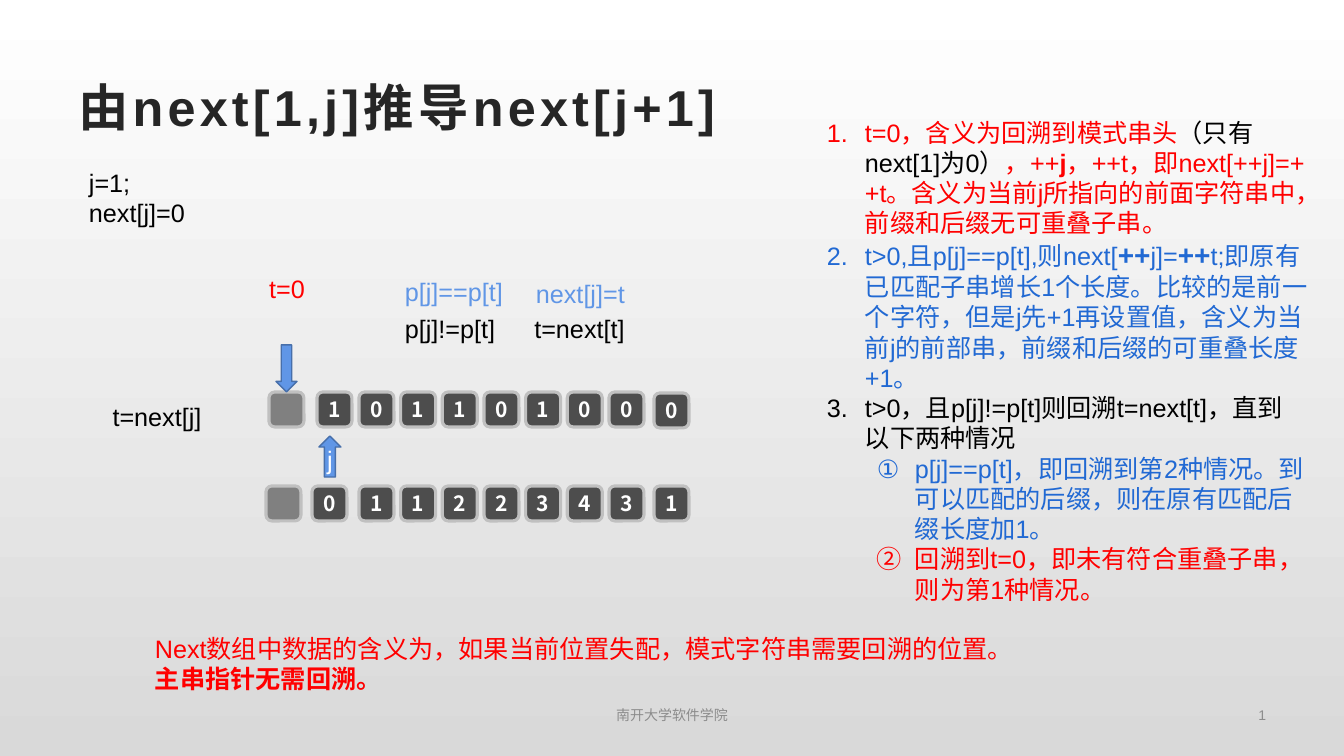
import pptx
import pptx.dml.color
import pptx.enum.dml
import pptx.enum.shapes
import pptx.enum.text
import pptx.oxml.ns
import pptx.util
import lxml.etree
from dataclasses import dataclass

PX = 914400 / 100.8
ALIGN = pptx.enum.text.PP_ALIGN
ANCHOR = pptx.enum.text.MSO_ANCHOR
AUTO_SIZE = pptx.enum.text.MSO_AUTO_SIZE
SHAPE = pptx.enum.shapes.MSO_SHAPE


@dataclass(frozen=True)
class Theme:
    latin: str = "Arial"
    chinese: str = "Noto Sans CJK SC"
    title: str = "262626"
    black: str = "000000"
    white: str = "FFFFFF"
    background_end: str = "D9D9D9"
    red: str = "FF0000"
    blue: str = "2169D3"
    light_blue: str = "6096E6"
    arrow_line: str = "476FAA"
    cell: str = "4D4D4D"
    blank_cell: str = "808080"
    cell_line: str = "C0C0C0"
    footer: str = "8C8C8C"
    title_size: int = 36
    body_size: int = 18
    plus_size: int = 20
    cell_size: int = 15
    footer_size: int = 10


THEME = Theme()


def px(length):
    return pptx.util.Emu(round(length * PX))


def rgb(value):
    return pptx.dml.color.RGBColor.from_string(value)


def set_all(target, values):
    for name, value in values.items():
        setattr(target, name, value)


def add_element(parent, tag, **attributes):
    element = lxml.etree.SubElement(parent, pptx.oxml.ns.qn(tag))
    for name, value in attributes.items():
        element.set(name, value)
    return element


def format_font(font, properties, color, size=THEME.body_size, bold=False, name=THEME.latin):
    set_all(font, {"size": pptx.util.Pt(size), "bold": bold, "name": name})
    font.color.rgb = rgb(color)
    add_element(properties, "a:ea", typeface=THEME.chinese)


def add_run(paragraph, text, color, **style):
    run = paragraph.add_run()
    run.text = text
    format_font(run.font, run._r.get_or_add_rPr(), color, **style)
    return run


def add_text(slide, box, lines, color, align=ALIGN.LEFT, wrap=True, anchor=ANCHOR.TOP,
             auto_size=AUTO_SIZE.SHAPE_TO_FIT_TEXT, **style):
    shape = slide.shapes.add_textbox(*map(px, box))
    frame = shape.text_frame
    set_all(frame, {"word_wrap": wrap, "vertical_anchor": anchor, "auto_size": auto_size})
    for index, line in enumerate(lines):
        paragraph = frame.add_paragraph() if index else frame.paragraphs[0]
        paragraph.alignment = align
        add_run(paragraph, line, color, **style)
    return shape


def add_filled(slide, kind, box, fill, line, width):
    shape = slide.shapes.add_shape(kind, *map(px, box))
    shape.shadow.inherit = False
    shape.fill.solid()
    shape.fill.fore_color.rgb = rgb(fill)
    shape.line.color.rgb = rgb(line)
    shape.line.width = pptx.util.Pt(width)
    return shape


def paint_background(slide):
    fill = slide.background.fill
    fill.gradient()
    fill.gradient_angle = 270
    for stop, color, position in zip(fill.gradient_stops, (THEME.white, THEME.background_end), (0, 1)):
        stop.color.rgb = rgb(color)
        stop.position = position


def place_title(slide, box, text):
    title = slide.shapes.title
    set_all(title, dict(zip(("left", "top", "width", "height"), map(px, box))))
    set_all(title.text_frame, {"vertical_anchor": ANCHOR.MIDDLE, "auto_size": AUTO_SIZE.NONE,
                               "word_wrap": True})
    paragraph = title.text_frame.paragraphs[0]
    paragraph.alignment = ALIGN.LEFT
    run = add_run(paragraph, text, THEME.title, size=THEME.title_size, bold=True)
    run._r.get_or_add_rPr().set("spc", "300")


def add_cell(slide, left, top, digit):
    fill = THEME.cell if digit else THEME.blank_cell
    cell = add_filled(slide, SHAPE.ROUNDED_RECTANGLE, (left, top, 35, 35), fill, THEME.cell_line, 2.25)
    if digit:
        frame = cell.text_frame
        set_all(frame, {"margin_left": 0, "margin_right": 0, "margin_top": 0, "margin_bottom": 0,
                        "word_wrap": False, "vertical_anchor": ANCHOR.MIDDLE})
        frame.paragraphs[0].alignment = ALIGN.CENTER
        add_run(frame.paragraphs[0], digit, THEME.white, size=THEME.cell_size, bold=True,
                name=THEME.chinese)


def draw_arrays(slide, left, top):
    middle = [left + 93 + 250 * index / 6 for index in range(7)]
    rows = (
        (0, 3, 51, 1, "110110000"[:0] + "101101000"[:0] + "101101000"),
        (94, 0, 46, 0, "011223431"),
    )
    for down, blank, first, last_down, digits in rows:
        add_cell(slide, left + blank, top + down, "")
        for index, (x, digit) in enumerate(zip([left + first, *middle, left + 388], digits)):
            add_cell(slide, x, top + down + (last_down if index == 8 else 0), digit)
    add_filled(slide, SHAPE.DOWN_ARROW, (left + 10, top - 47, 21, 47),
               THEME.light_blue, THEME.arrow_line, 1)
    pointer = add_filled(slide, SHAPE.UP_ARROW, (left + 53, top + 44, 22, 41),
                         THEME.light_blue, THEME.arrow_line, 1)
    pointer.text_frame.vertical_anchor = ANCHOR.MIDDLE
    pointer.text_frame.paragraphs[0].alignment = ALIGN.CENTER
    add_run(pointer.text_frame.paragraphs[0], "j", THEME.white)


def label_arrays(slide, left, top):
    labels = (
        (0, 128, 144, "t=next[j]", THEME.black, True),
        (162, 0, 80, "t=0", THEME.red, True),
        (310, 3, 118, "p[j]==p[t]", THEME.light_blue, False),
        (310, 40, 111, "p[j]!=p[t]", THEME.black, False),
        (432, 40, 125, "t=next[t]", THEME.black, True),
        (441, 5, 109, "next[j]=t", THEME.light_blue, False),
    )
    for x, y, width, text, color, centred in labels:
        add_text(slide, (left + x, top + y, width, 40), [text], color,
                 align=ALIGN.CENTER if centred else ALIGN.LEFT, wrap=centred)


def write_cases(slide, box):
    red, blue, black = THEME.red, THEME.blue, THEME.black
    plus = {"size": THEME.plus_size, "bold": True}
    cases = (
        (0, (("t=0，含义为回溯到模式串头", red, {}), ("（只有next[1]为0）", black, {}),
             ("，++", red, {}), ("j", red, {"bold": True}),
             ("，++t，即next[++j]=++t。含义为当前j所指向的前面字符串中，前缀和后缀无可重叠子串。", red, {}))),
        (0, (("t>0,且p[j]==p[t],则next[", blue, {}), ("++", blue, plus), ("j]=", blue, {}),
             ("++", blue, plus),
             ("t;即原有已匹配子串增长1个长度。比较的是前一个字符，但是j先+1再设置值，"
              "含义为当前j的前部串，前缀和后缀的可重叠长度+1。", blue, {}))),
        (0, (("t>0，且p[j]!=p[t]则回溯t=next[t]，直到以下两种情况", black, {}),)),
        (1, (("p[j]==p[t]，即回溯到第2种情况。到可以匹配的后缀，则在原有匹配后缀长度加1。", blue, {}),)),
        (1, (("回溯到t=0，即未有符合重叠子串，则为第1种情况。", red, {}),)),
    )
    frame = add_text(slide, box, [], black).text_frame
    for index, (level, runs) in enumerate(cases):
        paragraph = frame.add_paragraph() if index else frame.paragraphs[0]
        paragraph.level = level
        properties = paragraph._p.get_or_add_pPr()
        properties.set("marL", str(px(38 + 50 * level)))
        properties.set("indent", str(-px(38)))
        add_element(properties, "a:buAutoNum", type=("arabicPeriod", "circleNumDbPlain")[level])
        for text, color, style in runs:
            add_run(paragraph, text, color, **style)


def write_footer(slide, left, top):
    style = {"anchor": ANCHOR.MIDDLE, "auto_size": AUTO_SIZE.NONE, "size": THEME.footer_size}
    add_text(slide, (left, top, 436, 35), ["南开大学软件学院"], THEME.footer, align=ALIGN.CENTER, **style)
    number = add_text(slide, (left + 525, top, 297, 35), ["3"], THEME.footer, align=ALIGN.RIGHT, **style)
    paragraph = number.text_frame.paragraphs[0]._p
    run = number.text_frame.paragraphs[0].runs[0]._r
    field = add_element(paragraph, "a:fld", id="{B6F15528-21DE-4FAA-801E-634DDDAF4B2B}", type="slidenum")
    for child in list(run):
        field.append(child)
    paragraph.remove(run)


def main():
    presentation = pptx.Presentation()
    set_all(presentation, {"slide_width": px(1344), "slide_height": px(756)})
    slide = presentation.slides.add_slide(presentation.slide_layouts[5])
    paint_background(slide)
    place_title(slide, (68, 68, 1210, 77), "由next[1,j]推导next[j+1]")
    add_text(slide, (79, 162, 144, 71), ["j=1;", "next[j]=0"], THEME.black)
    label_arrays(slide, 85, 268)
    draw_arrays(slide, 266, 392)
    write_cases(slide, (817, 112, 501, 532))
    conclusion = add_text(slide, (145, 628, 878, 71),
                          ["Next数组中数据的含义为，如果当前位置失配，模式字符串需要回溯的位置。",
                           "主串指针无需回溯。"], THEME.red, wrap=False)
    conclusion.text_frame.paragraphs[1].runs[0].font.bold = True
    write_footer(slide, 454, 697)
    presentation.save("out.pptx")


if __name__ == "__main__":
    main()
